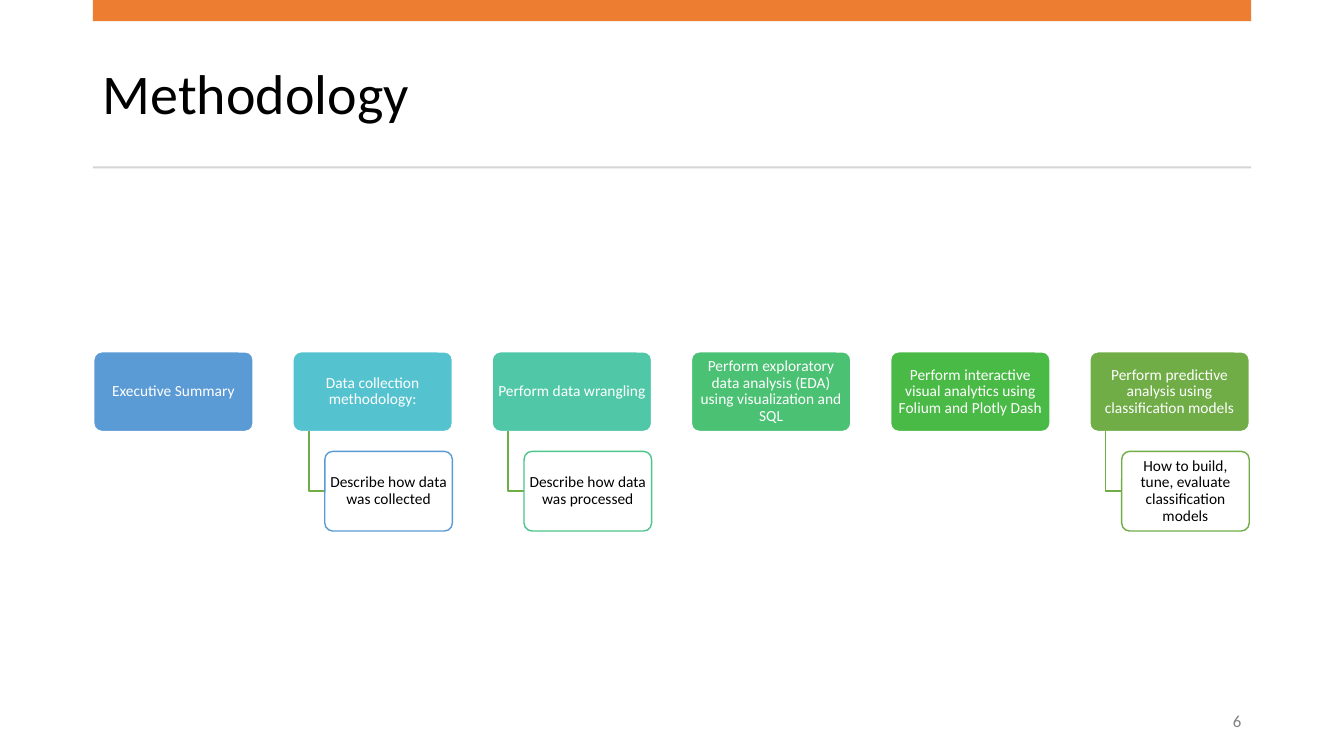
"""Build the Methodology slide: six step cards, three of them with a detail card below."""
from dataclasses import dataclass

from lxml import etree
from pptx import Presentation
from pptx.dml.color import RGBColor
from pptx.enum.shapes import MSO_SHAPE
from pptx.enum.text import MSO_ANCHOR, MSO_AUTO_SIZE, PP_ALIGN
from pptx.oxml.ns import qn
from pptx.util import Inches, Pt

RECTANGLE, ROUNDED = MSO_SHAPE.RECTANGLE, MSO_SHAPE.ROUNDED_RECTANGLE
MIDDLE, NO_FIT = MSO_ANCHOR.MIDDLE, MSO_AUTO_SIZE.NONE
LEFT, CENTER, RIGHT = PP_ALIGN.LEFT, PP_ALIGN.CENTER, PP_ALIGN.RIGHT

TITLE = "Methodology"
PAGE_NUMBER = "6"
STEPS = [
    ("Executive Summary", "5B9BD5", None),
    ("Data collection methodology:", "55C3CF",
     ("Describe how data was collected", "5B9BD5")),
    ("Perform data wrangling", "50C8A7",
     ("Describe how data was processed", "4DC58D")),
    ("Perform exploratory data analysis (EDA) using visualization and SQL", "4BC174", None),
    ("Perform interactive visual analytics using Folium and Plotly Dash", "4ABA46", None),
    ("Perform predictive analysis using classification models", "70AD47",
     ("How to build, tune, evaluate classification models", "70AD47")),
]


@dataclass(frozen=True)
class Theme:
    """Colours, type sizes and font of the slide."""
    font: str = "Calibri"
    dark: str = "000000"
    light: str = "FFFFFF"
    muted: str = "808080"
    accent: str = "ED7D31"
    rule: str = "D5D5D5"
    elbow: str = "70AD47"
    title_size: int = 40
    number_size: int = 12
    card_size: int = 11


THEME = Theme()
WIDTH, HEIGHT = 13.33, 7.5
MARGIN = 0.92
CONTENT = WIDTH - 2 * MARGIN
GAP_SHARE = 0.25
CARDS_LEFT, CARDS_TOP, CARDS_WIDTH = 0.93, 3.49, 11.46
CARD_WIDTH = CARDS_WIDTH / (len(STEPS) + GAP_SHARE * (len(STEPS) - 1))
CARD_HEIGHT = CARD_WIDTH / 2
PITCH = CARD_WIDTH * (1 + GAP_SHARE)
DETAIL_TOP = CARDS_TOP + CARD_HEIGHT * (1 + GAP_SHARE)
DETAIL_SHARE = 0.8


def color(code):
    return RGBColor.from_string(code)


def write(shape, text, size, code, align, spacing=1.0, after=6):
    frame = shape.text_frame
    frame.word_wrap = True
    frame.auto_size = NO_FIT
    frame.vertical_anchor = MIDDLE
    para = frame.paragraphs[0]
    para.alignment = align
    para.line_spacing = spacing
    para.space_before = Pt(0)
    para.space_after = Pt(after)
    span = para.add_run()
    span.text = text
    span.font.name = THEME.font
    span.font.size = Pt(size)
    span.font.color.rgb = color(code)


def add_block(page, kind, left, top, width, height, fill):
    block = page.shapes.add_shape(
        kind, Inches(left), Inches(top), Inches(width), Inches(height))
    block.shadow.inherit = False
    block.fill.solid()
    block.fill.fore_color.rgb = color(fill)
    block.line.fill.background()
    return block


def add_card(page, left, top, width, text, fill, outline, ink):
    card = add_block(page, ROUNDED, left, top, width, CARD_HEIGHT, fill)
    card.adjustments[0] = 0.1
    card.line.color.rgb = color(outline)
    card.line.width = Pt(1)
    frame = card.text_frame
    frame.margin_left = frame.margin_right = Inches(0.02)
    frame.margin_top = frame.margin_bottom = Inches(0.02)
    write(card, text, THEME.card_size, ink, CENTER, 0.9, 0.35 * THEME.card_size)
    return card


def add_detail(page, step_left, text, outline):
    left = step_left + CARD_WIDTH * (1 - DETAIL_SHARE)
    stem = step_left + CARD_WIDTH * (1 - DETAIL_SHARE) / 2
    start, middle = CARDS_TOP + CARD_HEIGHT, DETAIL_TOP + CARD_HEIGHT / 2
    builder = page.shapes.build_freeform(Inches(stem), Inches(start))
    builder.add_line_segments(
        [(Inches(stem), Inches(middle)), (Inches(left), Inches(middle))], close=False)
    elbow = builder.convert_to_shape()
    elbow.shadow.inherit = False
    elbow.fill.background()
    elbow.line.color.rgb = color(THEME.elbow)
    elbow.line.width = Pt(1)
    card = add_card(page, left, DETAIL_TOP, CARD_WIDTH * DETAIL_SHARE,
                    text, THEME.light, outline, THEME.dark)
    paint = card.fill._xPr.find(qn("a:solidFill"))[0]
    etree.SubElement(paint, qn("a:alpha")).set("val", "90000")


def main():
    deck = Presentation()
    deck.slide_width, deck.slide_height = Inches(WIDTH), Inches(HEIGHT)
    page = deck.slides.add_slide(deck.slide_layouts.get_by_name("Title Only"))

    title = page.shapes.title
    title.left, title.top = Inches(MARGIN), Inches(0.37)
    title.width, title.height = Inches(CONTENT), Inches(1.18)
    write(title, TITLE, THEME.title_size, THEME.dark, LEFT, 0.9)

    add_block(page, RECTANGLE, MARGIN, 0, CONTENT, 0.21, THEME.accent)
    add_block(page, RECTANGLE, MARGIN, 1.65, CONTENT, 0.02, THEME.rule)

    number = page.shapes.add_textbox(
        Inches(9.53), Inches(6.95), Inches(2.88), Inches(0.4))
    write(number, PAGE_NUMBER, THEME.number_size, THEME.muted, RIGHT)

    for column, (text, fill, detail) in enumerate(STEPS):
        left = CARDS_LEFT + column * PITCH
        add_card(page, left, CARDS_TOP, CARD_WIDTH, text, fill, THEME.light, THEME.light)
        if detail:
            add_detail(page, left, *detail)

    deck.save("out.pptx")


if __name__ == "__main__":
    main()
